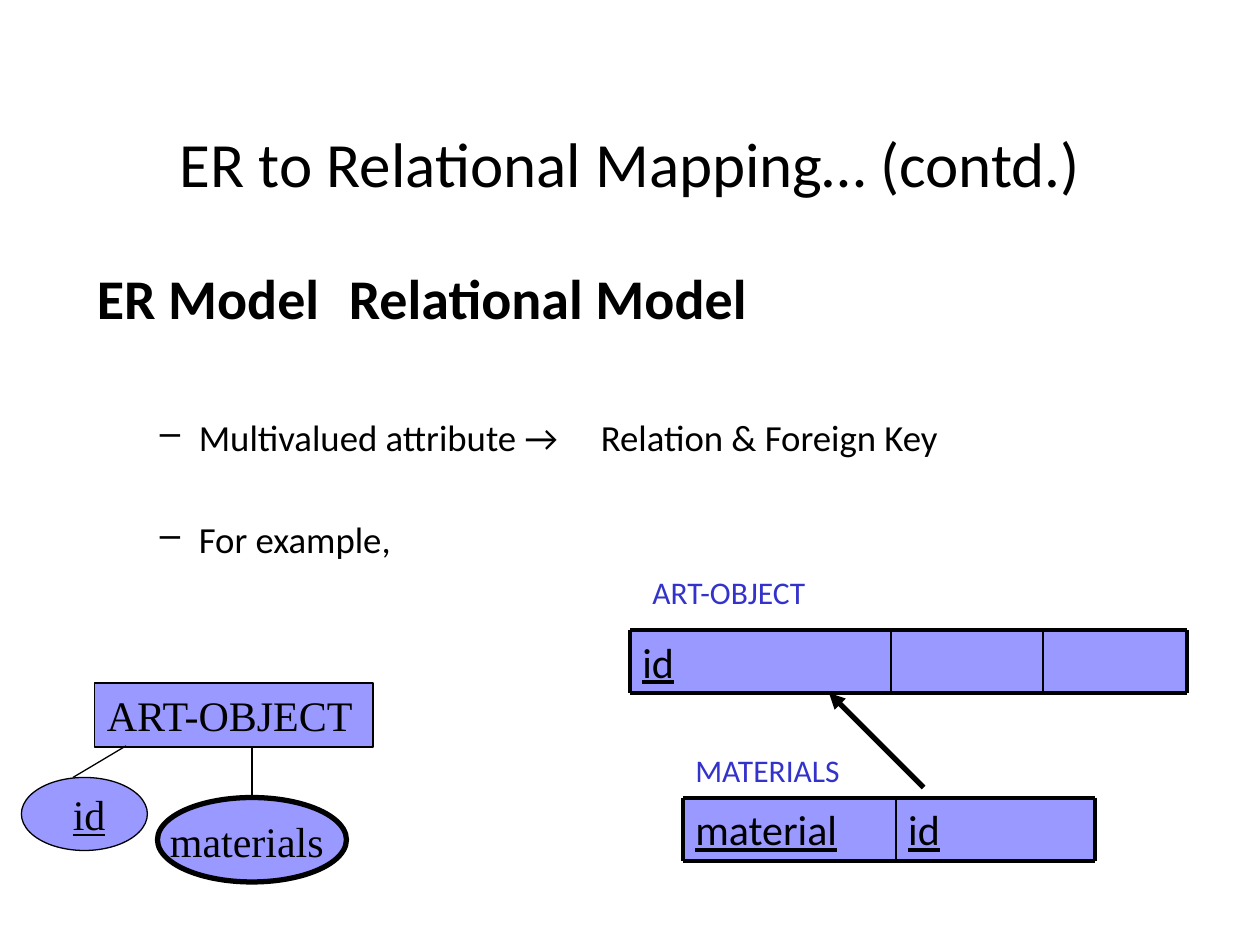
from lxml import etree
from pptx import Presentation
from pptx.dml.color import RGBColor
from pptx.enum import shapes, text
from pptx.oxml import ns
from pptx.util import Inches, Pt

BLACK = RGBColor(0x00, 0x00, 0x00)
LILAC = RGBColor(0x99, 0x99, 0xFF)
BLUE = RGBColor(0x33, 0x33, 0xCC)
SANS = "Calibri"
SERIF = "Times New Roman"
ROW_HEIGHT = 0.5

presentation = Presentation()
presentation.slide_width = Inches(10)
presentation.slide_height = Inches(7.5)
slide = presentation.slides.add_slide(presentation.slide_layouts[6])


def add_run(paragraph, words, size, font=SANS, color=BLACK, bold=False, underline=False):
    run = paragraph.add_run()
    run.text = words
    run.font.size = Pt(size)
    run.font.name = font
    run.font.color.rgb = color
    run.font.bold = bold
    run.font.underline = underline


def add_line(start, end, width):
    line = slide.shapes.add_connector(
        shapes.MSO_CONNECTOR.STRAIGHT, *[Inches(value) for value in start + end])
    line.line.color.rgb = BLACK
    line.line.width = Pt(width)
    etree.SubElement(line._element.spPr, ns.qn("a:effectLst"))
    return line


title = slide.shapes.add_textbox(Inches(0.5), Inches(0.66), Inches(9), Inches(1.25))
title.text_frame.word_wrap = True
title.text_frame.vertical_anchor = text.MSO_ANCHOR.MIDDLE
title.text_frame.paragraphs[0].alignment = text.PP_ALIGN.CENTER
add_run(title.text_frame.paragraphs[0], "ER to Relational Mapping… (contd.)", 36)

body = slide.shapes.add_textbox(Inches(0.67), Inches(2.04), Inches(8.67), Inches(2.5))
body.text_frame.word_wrap = True
body_lines = [
    ("ER Model\tRelational Model", 32, True, 0, 0, 0),
    ("Multivalued attribute →\tRelation & Foreign Key", 21, False, 48, 0.81, 0.31),
    ("For example,", 21, False, 33, 0.81, 0.31),
]
for index, (words, size, bold, before, margin, hanging) in enumerate(body_lines):
    paragraph = body.text_frame.paragraphs[0] if index == 0 else body.text_frame.add_paragraph()
    paragraph.space_before = Pt(before)
    add_run(paragraph, words, size, bold=bold)
    properties = paragraph._p.get_or_add_pPr()
    properties.set("marL", str(Inches(margin)))
    properties.set("indent", str(-Inches(hanging)))
    if bold:
        tabs = etree.SubElement(properties, ns.qn("a:tabLst"))
        etree.SubElement(tabs, ns.qn("a:tab"), pos=str(Inches(4.37)), algn="l")
    else:
        etree.SubElement(properties, ns.qn("a:buChar")).set("char", "–")

boxes = [
    (shapes.MSO_SHAPE.RECTANGLE, 0.75, 5.42, 2.21, 0.51, 0.75, ""),
    (shapes.MSO_SHAPE.OVAL, 0.17, 6.17, 1, 0.58, 0.75, ""),
    (shapes.MSO_SHAPE.OVAL, 1.25, 6.33, 1.5, 0.67, 3, ""),
]
rules = [
    ((2, 6.33), (2, 5.92), 0.75),
    ((0.58, 6.17), (1, 5.92), 0.75),
]

relations = [
    (5, 5, [("id", 2.07), ("", 1.21), ("", 1.14)]),
    (5.42, 6.33, [("material", 1.69), ("id", 1.58)]),
]
for left, top, columns in relations:
    bottom = top + ROW_HEIGHT
    x = left
    rules.append(((left, top), (left, bottom), 2.25))
    for index, (name, width) in enumerate(columns):
        boxes.append((shapes.MSO_SHAPE.RECTANGLE, x, top, width, ROW_HEIGHT, 0, name))
        x += width
        weight = 2.25 if index == len(columns) - 1 else 1
        rules.append(((x, top), (x, bottom), weight))
    for y in (top, bottom):
        rules.append(((left, y), (x, y), 2.25))

for kind, left, top, width, height, outline, name in boxes:
    shape = slide.shapes.add_shape(
        kind, Inches(left), Inches(top), Inches(width), Inches(height))
    shape.shadow.inherit = False
    shape.fill.solid()
    shape.fill.fore_color.rgb = LILAC
    if outline:
        shape.line.color.rgb = BLACK
        shape.line.width = Pt(outline)
    else:
        shape.line.fill.background()
    if name:
        shape.text_frame.vertical_anchor = text.MSO_ANCHOR.TOP
        shape.text_frame.paragraphs[0].alignment = text.PP_ALIGN.LEFT
        add_run(shape.text_frame.paragraphs[0], name, 24, underline=True)

for start, end, weight in rules:
    add_line(start, end, weight)

foreign_key = add_line((7.33, 6.25), (6.58, 5.5), 3)
etree.SubElement(foreign_key.line._get_or_add_ln(), ns.qn("a:tailEnd")).set("type", "triangle")

labels = [
    ("ART-OBJECT", 0.75, 5.42, 2.21, 24, SERIF, BLACK, False),
    ("id", 0.48, 6.21, 0.46, 24, SERIF, BLACK, True),
    ("materials", 1.25, 6.42, 1.58, 24, SERIF, BLACK, False),
    ("ART-OBJECT", 5.08, 4.5, 1.81, 18, SANS, BLUE, False),
    ("MATERIALS", 5.42, 5.91, 1.66, 18, SANS, BLUE, False),
]
for words, left, top, width, size, font, color, underline in labels:
    label = slide.shapes.add_textbox(Inches(left), Inches(top), Inches(width), Inches(0.4))
    add_run(label.text_frame.paragraphs[0], words, size, font, color, underline=underline)

presentation.save("out.pptx")
